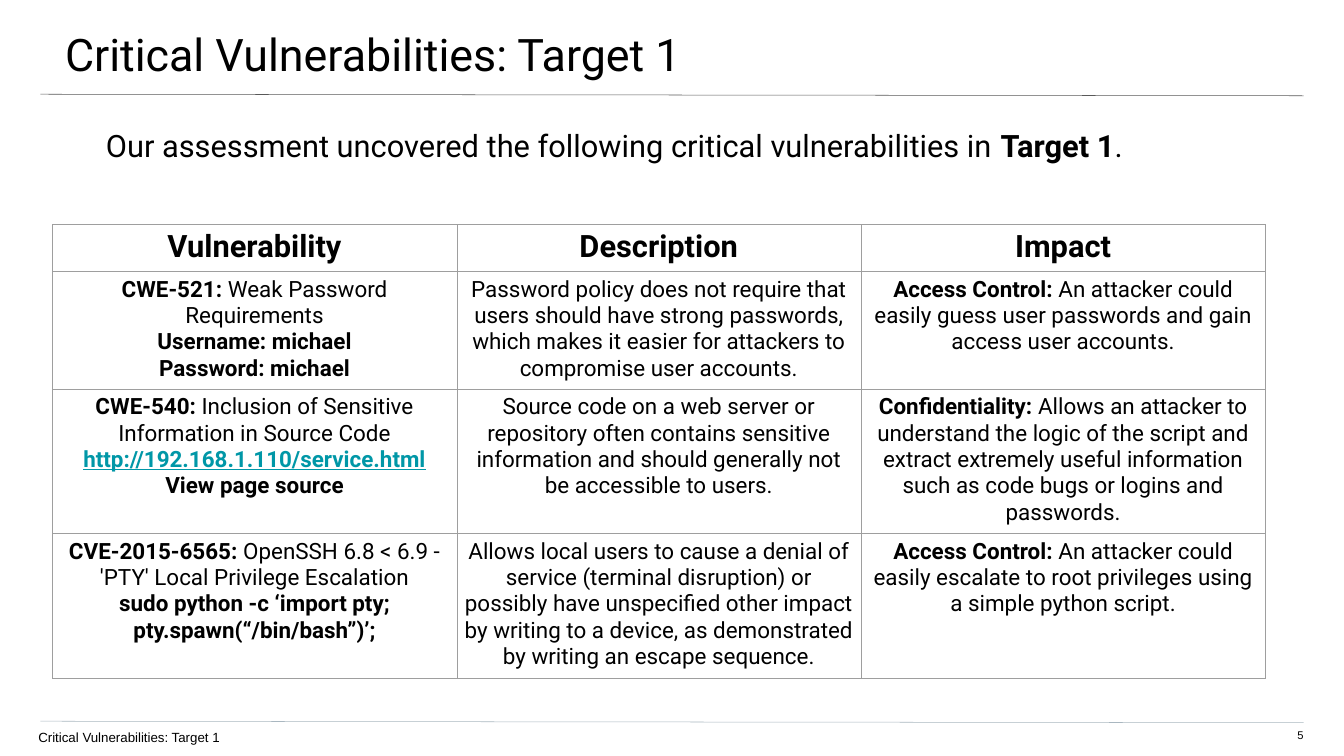
from dataclasses import dataclass

import lxml.etree
import pptx
import pptx.dml.color
import pptx.enum.shapes
import pptx.enum.text
import pptx.oxml.ns
import pptx.util

Inches = pptx.util.Inches
Align = pptx.enum.text.PP_ALIGN
BLACK = "000000"
BORDER = "9E9E9E"
LINK = "0097A7"


@dataclass(frozen=True)
class Span:
    text: str
    bold: bool = False
    color: str = BLACK
    underline: bool = False


@dataclass(frozen=True)
class Label:
    area: tuple[float, float, float, float]
    insets: tuple[float, float, float, float]
    spans: tuple[Span, ...]
    size: float
    font: str
    align: Align = Align.LEFT


@dataclass(frozen=True)
class Rule:
    top: float
    color: str


def rgb(value: str) -> pptx.dml.color.RGBColor:
    return pptx.dml.color.RGBColor.from_string(value)


def bold(text: str) -> Span:
    return Span(text, bold=True)


def fill_paragraph(para, spans: tuple[Span, ...], size: float, font: str, align: Align) -> None:
    para.alignment = align
    for span in spans:
        run = para.add_run()
        run.text = span.text
        run.font.name = font
        run.font.size = pptx.util.Pt(size)
        run.font.bold = span.bold
        run.font.underline = span.underline
        run.font.color.rgb = rgb(span.color)


def draw_label(page, label: Label) -> None:
    box = page.shapes.add_textbox(*map(Inches, label.area))
    frame = box.text_frame
    frame.word_wrap = True
    frame.margin_left, frame.margin_top, frame.margin_right, frame.margin_bottom = map(
        Inches, label.insets
    )
    fill_paragraph(frame.paragraphs[0], label.spans, label.size, label.font, label.align)


def draw_rule(page, rule: Rule) -> None:
    line = page.shapes.add_connector(
        pptx.enum.shapes.MSO_CONNECTOR.STRAIGHT,
        Inches(0.8), Inches(rule.top), Inches(25.86), Inches(rule.top + 0.03),
    )
    line.line.color.rgb = rgb(rule.color)
    line.line.width = pptx.util.Pt(0.75)
    lxml.etree.SubElement(line._element.spPr, pptx.oxml.ns.qn("a:effectLst"))


def draw_borders(cell) -> None:
    qn = pptx.oxml.ns.qn
    properties = cell._tc.get_or_add_tcPr()
    for position, side in enumerate(("a:lnL", "a:lnR", "a:lnT", "a:lnB")):
        edge = lxml.etree.Element(qn(side), w=str(pptx.util.Pt(0.75)))
        fill = lxml.etree.SubElement(edge, qn("a:solidFill"))
        lxml.etree.SubElement(fill, qn("a:srgbClr"), val=BORDER)
        properties.insert(position, edge)


def draw_cell(cell, lines: tuple[tuple[Span, ...], ...], size: float) -> None:
    cell.fill.background()
    draw_borders(cell)
    cell.margin_left = cell.margin_right = Inches(0.1)
    cell.margin_top = cell.margin_bottom = Inches(0.1)
    for index, spans in enumerate(lines):
        frame = cell.text_frame
        para = frame.add_paragraph() if index else frame.paragraphs[0]
        fill_paragraph(para, spans, size, "Roboto", Align.CENTER)


def draw_table(page, rows: tuple, heights: tuple[float, ...]) -> None:
    table = page.shapes.add_table(
        len(rows), len(rows[0]), Inches(1.04), Inches(4.45), Inches(24.06), Inches(sum(heights))
    ).table
    table.first_row = False
    table.horz_banding = False
    for column in table.columns:
        column.width = Inches(8.02)
    for index, (cells, height) in enumerate(zip(rows, heights)):
        table.rows[index].height = Inches(height)
        for column, lines in enumerate(cells):
            draw_cell(table.cell(index, column), lines, 32 if index else 44)


TITLE = "Critical Vulnerabilities: Target 1"

RULES = (Rule(1.87, "595959"), Rule(14.31, "A9B7C0"))

LABELS = (
    Label((-0.04, 0, 26.73, 1.56), (1.33, 0.53, 0.8, 0.27), (Span(TITLE),), 64, "Roboto"),
    Label((25.1, 14.46, 0.76, 0.31), (0, 0, 0, 0.27), (Span("5"),), 16, "Arial", Align.RIGHT),
    Label(
        (0.77, 2.51, 25.09, 1.2),
        (1.33, 0, 1.33, 0),
        (
            Span("Our assessment uncovered the following critical vulnerabilities in "),
            bold("Target 1"),
            Span("."),
        ),
        44,
        "Roboto",
    ),
    Label((-0.04, 14.34, 23.24, 0.66), (0.8, 0.13, 0, 0), (Span(TITLE),), 19, "Arial"),
)

ROWS = (
    tuple(((bold(heading),),) for heading in ("Vulnerability", "Description", "Impact")),
    (
        (
            (bold("CWE-521:"), Span(" Weak Password Requirements")),
            (bold("Username: michael"),),
            (bold("Password: michael"),),
        ),
        ((Span("Password policy does not require that users should have strong passwords, "
               "which makes it easier for attackers to compromise user accounts."),),),
        ((bold("Access Control: "),
          Span("An attacker could easily guess user passwords and gain access user accounts.")),),
    ),
    (
        (
            (bold("CWE-540:"), Span(" Inclusion of Sensitive Information in Source Code")),
            (Span("http://192.168.1.110/service.html", True, LINK, True),),
            (bold("View page source"),),
        ),
        ((Span("Source code on a web server or repository often contains sensitive "
               "information and should generally not be accessible to users."),),),
        ((bold("Confidentiality: "),
          Span("Allows an attacker to understand the logic of the script and extract extremely "
               "useful information such as code bugs or logins and passwords.")),),
    ),
    (
        (
            (bold("CVE-2015-6565:"),
             Span(" OpenSSH 6.8 < 6.9 - 'PTY' Local Privilege Escalation")),
            (bold("sudo python -c ‘import pty; pty.spawn(“/bin/bash”)’;"),),
        ),
        ((Span("Allows local users to cause a denial of service (terminal disruption) or possibly "
               "have unspecified other impact by writing to a device, as demonstrated by writing "
               "an escape sequence."),),),
        ((bold("Access Control: "),
          Span("An attacker could easily escalate to root privileges using a simple "
               "python script.")),),
    ),
)


def main() -> None:
    deck = pptx.Presentation()
    deck.slide_width = Inches(26.66)
    deck.slide_height = Inches(15)
    page = deck.slides.add_slide(deck.slide_layouts[6])
    for rule in RULES:
        draw_rule(page, rule)
    for label in LABELS:
        draw_label(page, label)
    draw_table(page, ROWS, (0.91, 2.3, 2.8, 2.8))
    deck.save("out.pptx")


if __name__ == "__main__":
    main()
